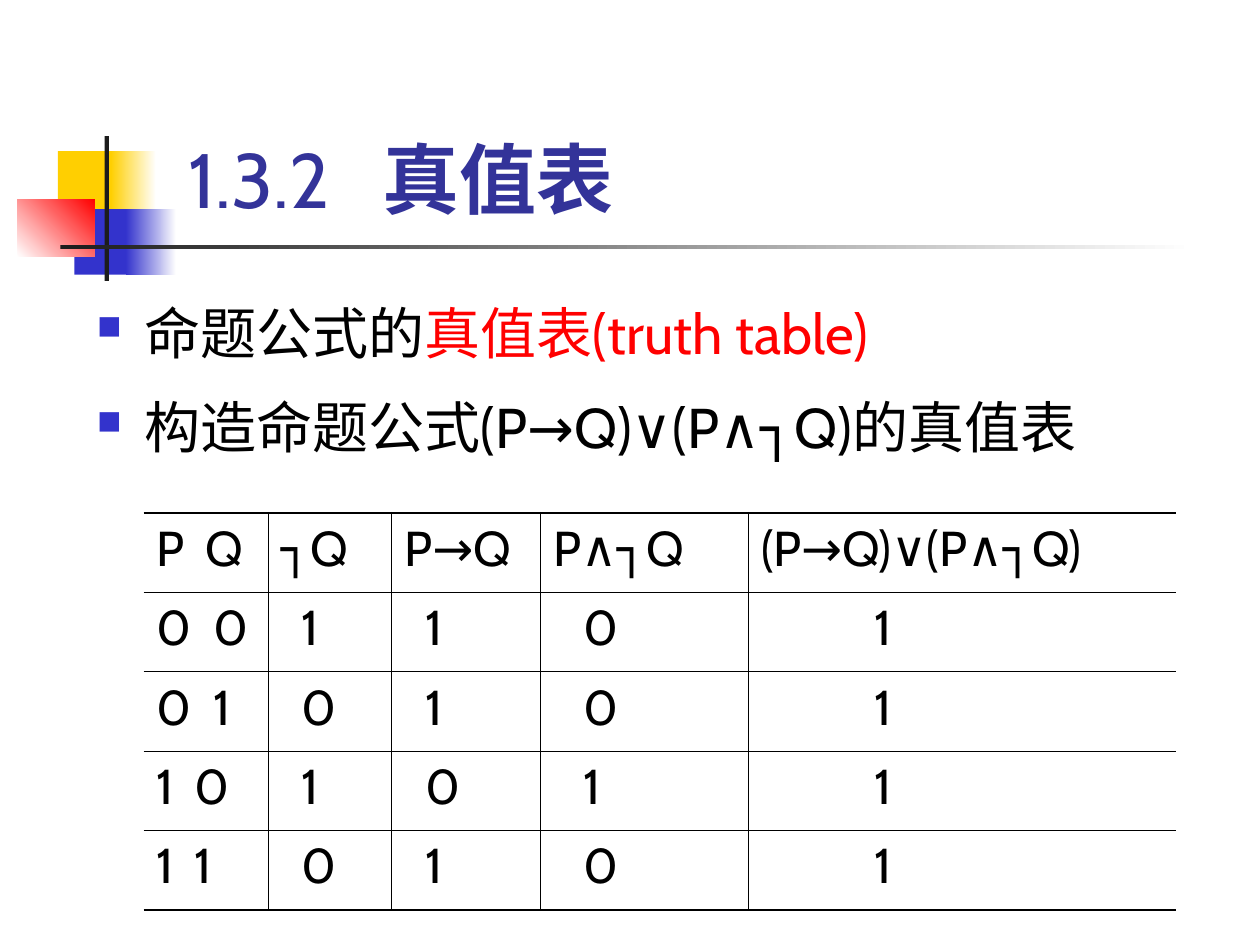
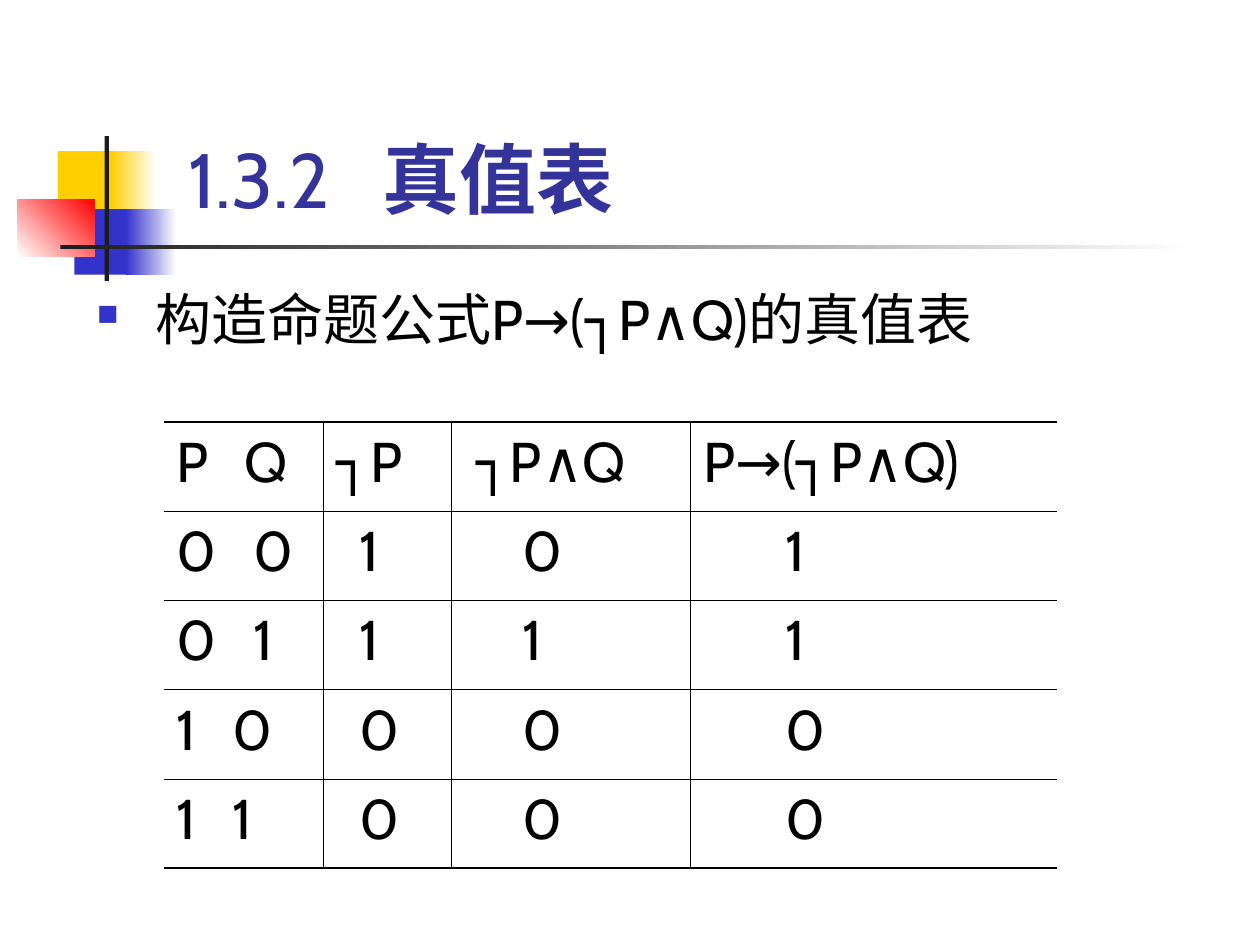
from lxml import etree
from pptx import Presentation
from pptx.dml.color import RGBColor
from pptx.enum import lang, shapes, text
from pptx.oxml import ns
from pptx.util import Emu, Pt

COLORS = {
    "white": "FFFFFF", "black": "000000", "title": "333399", "blue": "3333CC",
    "yellow": "FFCF01", "red": "FF0000", "line": "1C1C1C",
}
FONT = "Cabin"
COLUMNS, ROWS = 100, 75                        # layout grid of the slide
SPACE = 0.21                                   # width of a blank, in em
SYMBOL_WIDTH = {"P": 0.58, "0": 0.74, "1": 0.37}  # in em

# Corner ornament: box on the grid, start colour, end colour, angle
ORNAMENT = [
    ((4.6, 12, 4.8, 5.2), "yellow", None, 0),
    ((8.8, 12, 3.6, 5.2), "yellow", "white", 0),
    ((5.9, 16.6, 4.6, 5.2), "blue", None, 0),
    ((10, 16.6, 4, 5.2), "blue", "white", 0),
    ((1.4, 15.8, 6.1, 4.6), "white", "red", 45),
    ((8.3, 10.8, 0.35, 11.5), "line", None, 0),
    ((4.8, 19.45, 90, 0.35), "line", "white", 0),
]


def color(name):
    return RGBColor.from_string(COLORS[name])


def add_element(parent, tag, **attributes):
    return etree.SubElement(parent, ns.qn(tag), attributes)


class Deck:
    """Holds the style and the slide being filled."""

    def __init__(self):
        self.presentation = Presentation()
        self.presentation.slide_width = Pt(720)
        self.presentation.slide_height = Pt(540)
        self.slide = None

    def column(self, count):
        return Emu(round(self.presentation.slide_width * count / COLUMNS))

    def row(self, count):
        return Emu(round(self.presentation.slide_height * count / ROWS))

    def box(self, left, top, width, height):
        return self.column(left), self.row(top), self.column(width), self.row(height)

    def new_slide(self, title):
        self.slide = self.presentation.slides.add_slide(self.presentation.slide_layouts[6])
        for place, start, end, angle in ORNAMENT:
            self.rectangle(place, start, end, angle)
        self.title(*title)

    def rectangle(self, place, start, end=None, angle=0):
        shape = self.slide.shapes.add_shape(
            shapes.MSO_SHAPE.RECTANGLE, *self.box(*place))
        shape.shadow.inherit = False
        shape.line.fill.background()
        if end is None:
            shape.fill.solid()
            shape.fill.fore_color.rgb = color(start)
        else:
            shape.fill.gradient()
            shape.fill.gradient_angle = angle
            for stop, name in zip(shape.fill.gradient_stops, (start, end)):
                stop.color.rgb = color(name)

    def text_frame(self, place, anchor):
        frame = self.slide.shapes.add_textbox(*self.box(*place)).text_frame
        frame.word_wrap = True
        frame.vertical_anchor = anchor
        return frame

    def run(self, paragraph, words, size, name="black", bold=False):
        run = paragraph.add_run()
        run.text = words
        font = run.font
        font.name, font.size, font.bold = FONT, Pt(size), bold
        font.color.rgb = color(name)
        font.language_id = lang.MSO_LANGUAGE_ID.SIMPLIFIED_CHINESE

    def tab_stop(self, paragraph, position):
        stops = add_element(paragraph._p.get_or_add_pPr(), "a:tabLst")
        add_element(stops, "a:tab", pos=str(int(position)), algn="l")

    def title(self, number, words):
        frame = self.text_frame((12.6, 2.3, 85.2, 16), text.MSO_ANCHOR.BOTTOM)
        paragraph = frame.paragraphs[0]
        self.tab_stop(paragraph, self.column(16.8))
        self.run(paragraph, f" {number}\t", 44, "title")
        self.run(paragraph, words, 44, "title", bold=True)

    def bullets(self, place, items, line_spacing=1.0):
        """Each item is a list of runs: words, size, colour."""
        frame = self.text_frame(place, text.MSO_ANCHOR.TOP)
        for index, runs in enumerate(items):
            paragraph = frame.add_paragraph() if index else frame.paragraphs[0]
            paragraph.space_before = Pt(8)
            paragraph.line_spacing = line_spacing
            properties = paragraph._p.get_or_add_pPr()
            hanging = self.column(3.75)
            properties.set("marL", str(hanging))
            properties.set("indent", str(-hanging))
            bullet_color = add_element(properties, "a:buClr")
            add_element(bullet_color, "a:srgbClr", val=COLORS["blue"])
            add_element(properties, "a:buSzPct", val="60000")
            add_element(properties, "a:buChar", char="■")
            for words, size, name in runs:
                self.run(paragraph, words, size, name)

    def border(self, cell, side, width):
        line = add_element(cell._tc.get_or_add_tcPr(), f"a:ln{side}", w=str(Pt(width)))
        if width:
            fill = add_element(line, "a:solidFill")
            add_element(fill, "a:srgbClr", val=COLORS["black"])
        else:
            add_element(line, "a:noFill")

    def truth_table(self, left, top, widths, height, size, gap, headers, indents, values):
        """gap and indents count blanks; values maps inputs to result digits."""
        rows = [headers] + [[inputs, *digits] for inputs, digits in values.items()]
        last_row, last_column = len(rows) - 1, len(widths) - 1
        table = self.slide.shapes.add_table(
            len(rows), len(widths),
            *self.box(left, top, sum(widths), height * len(rows))).table
        table.first_row = table.horz_banding = False
        for column, width in zip(table.columns, widths):
            column.width = self.column(width)
        for r, entries in enumerate(rows):
            table.rows[r].height = self.row(height)
            for c, words in enumerate(entries):
                cell = table.cell(r, c)
                self.border(cell, "L", 0.45 if c else 0)
                self.border(cell, "R", 0.45 if c < last_column else 0)
                self.border(cell, "T", 0.45 if r else 1.08)
                self.border(cell, "B", 0.45 if r < last_row else 1.08)
                cell.fill.background()
                paragraph = cell.text_frame.paragraphs[0]
                paragraph.space_before = Pt(size / 4)
                if c == 0:      # the two inputs, set apart by a tab
                    self.tab_stop(paragraph, Pt(size * (SYMBOL_WIDTH[words[0]] + gap * SPACE)))
                    words = "\t".join(words)
                elif r:         # result digits, indented under the formula
                    indent = Pt(size * SPACE * indents[c - 1])
                    paragraph._p.get_or_add_pPr().set("marL", str(indent))
                self.run(paragraph, words, size)


def main():
    deck = Deck()
    title = ("1.3.2", "真值表")

    # Definition and first truth table
    deck.new_slide(title)
    deck.bullets((6.7, 22.1, 93.3, 50.9), [
        [("命题公式的", 32, "black"), ("真值表(truth table)", 32, "red")],
        [("构造命题公式(P→Q)∨(P∧┐Q)的真值表", 32, "black")],
    ], line_spacing=1.2)
    deck.truth_table(
        11.4, 40.7, [9.9, 9.8, 11.8, 16.5, 33.9], 6.3, size=28, gap=2,
        headers=["PQ", "┐Q", "P→Q", "P∧┐Q", "(P→Q)∨(P∧┐Q)"],
        indents=[2, 2, 3, 11],
        values={"00": "1101", "01": "0101", "10": "1011", "11": "0101"})

    # Second truth table
    deck.new_slide(title)
    deck.bullets((6.7, 22.1, 81.9, 50.1), [
        [(" ", 28, "black"), ("构造命题公式P→(┐P∧Q)的真值表", 32, "black")],
    ])
    deck.truth_table(
        13, 33.5, [12.7, 10.1, 19, 29.1], 7.08, size=32, gap=3,
        headers=["PQ", "┐P", " ┐P∧Q", "P→(┐P∧Q)"],
        indents=[2, 5, 7],
        values={"00": "101", "01": "111", "10": "000", "11": "000"})

    deck.presentation.save("out.pptx")


if __name__ == "__main__":
    main()
